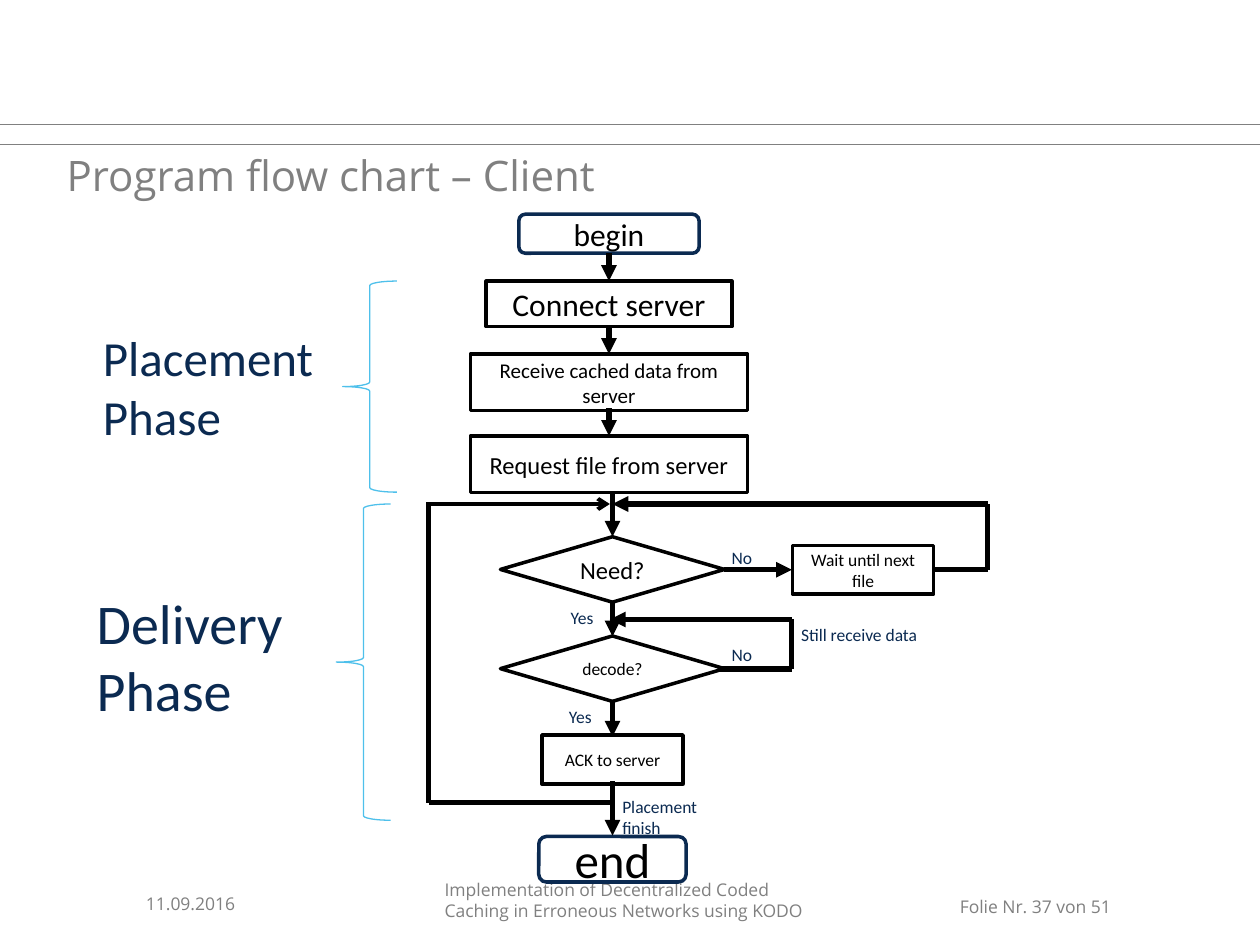
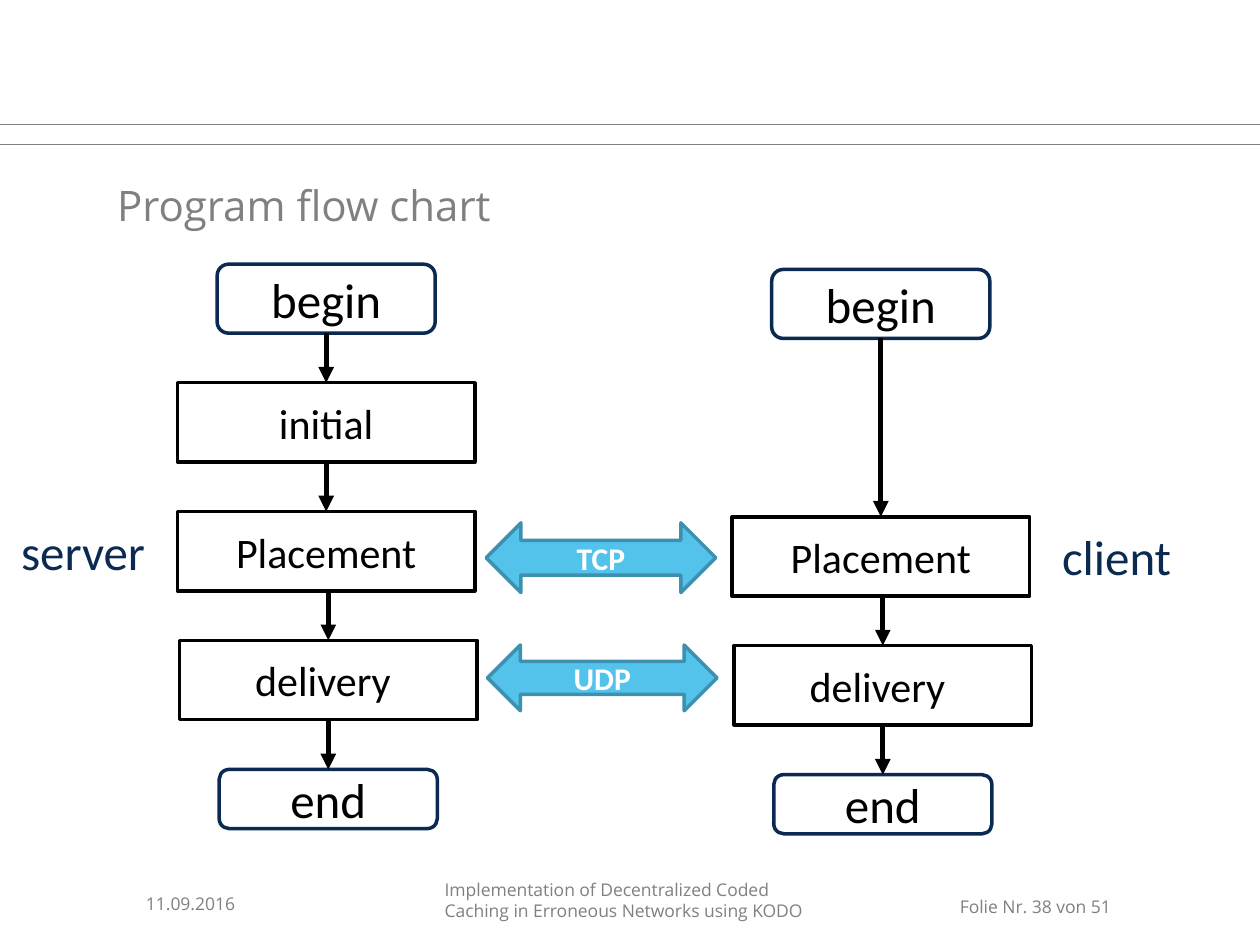
from itertools import pairwise

from lxml import etree
from pptx import Presentation
from pptx.dml.color import RGBColor
from pptx.enum.shapes import MSO_CONNECTOR, MSO_SHAPE
from pptx.enum.text import MSO_ANCHOR, PP_ALIGN
from pptx.oxml.ns import qn
from pptx.util import Pt

GREY = RGBColor(0x80, 0x80, 0x80)
NAVY = RGBColor(0x0B, 0x2A, 0x51)
BLACK = RGBColor(0, 0, 0)
WHITE = RGBColor(0xFF, 0xFF, 0xFF)
SKY = RGBColor(0x4E, 0xC0, 0xEB)
ARROW_FILL = RGBColor(0x54, 0xC3, 0xEC)
ARROW_EDGE = RGBColor(0x3E, 0x90, 0xAF)

BODY_FONT = "Calibri"
FRAME_FONT = "Open Sans"
SLIDE_W, SLIDE_H = 720, 540
RULES_Y = (71.3, 82.8)
TOTAL_SLIDES = 51

RECT = MSO_SHAPE.RECTANGLE
ROUND = MSO_SHAPE.ROUNDED_RECTANGLE
DECISION = MSO_SHAPE.FLOWCHART_DECISION


def write(frame, text, size, color, font=BODY_FONT, bold=False, align=PP_ALIGN.LEFT):
    """Fill a text frame, one paragraph per line of text."""
    frame.word_wrap = True
    for i, line in enumerate(text.split("\n")):
        paragraph = frame.add_paragraph() if i else frame.paragraphs[0]
        paragraph.alignment = align
        run = paragraph.add_run()
        run.text = line
        run.font.name, run.font.size, run.font.bold = font, Pt(size), bold
        run.font.color.rgb = color


def label(slide, text, x, y, w, h, size, color=NAVY, font=BODY_FONT,
          anchor=MSO_ANCHOR.TOP):
    """Add a plain text box."""
    frame = slide.shapes.add_textbox(Pt(x), Pt(y), Pt(w), Pt(h)).text_frame
    frame.vertical_anchor = anchor
    write(frame, text, size, color, font)


def outline(slide, kind, x, y, w, h, color, width=2, fill=None):
    """Add a preset shape with a line and an optional fill."""
    shape = slide.shapes.add_shape(kind, Pt(x), Pt(y), Pt(w), Pt(h))
    shape.shadow.inherit = False
    if fill is None:
        shape.fill.background()
    else:
        shape.fill.solid()
        shape.fill.fore_color.rgb = fill
    shape.line.color.rgb = color
    shape.line.width = Pt(width)
    return shape


def step(slide, kind, text, center, top, w, h, size):
    """Add one flow chart step, centred on a vertical axis."""
    edge = NAVY if kind == ROUND else BLACK
    shape = outline(slide, kind, center - w / 2, top, w, h, edge)
    shape.text_frame.vertical_anchor = MSO_ANCHOR.MIDDLE
    write(shape.text_frame, text, size, BLACK, align=PP_ALIGN.CENTER)
    return shape


def line(slide, start, end, head=None, width=3, color=BLACK):
    """Add a straight line, with an arrowhead at its end if one is named."""
    connector = slide.shapes.add_connector(
        MSO_CONNECTOR.STRAIGHT, *(Pt(v) for v in (*start, *end)))
    connector.line.color.rgb = color
    connector.line.width = Pt(width)
    properties = connector._element.spPr
    if head:
        etree.SubElement(properties.find(qn("a:ln")), qn("a:tailEnd"), type=head)
    etree.SubElement(properties, qn("a:effectLst"))


def route(slide, points, head=None):
    """Join points with straight lines; the last one may carry an arrowhead."""
    legs = list(pairwise(points))
    for start, end in legs[:-1]:
        line(slide, start, end)
    line(slide, *legs[-1], head)


def down(slide, x, top, bottom):
    """Add a downward arrow."""
    line(slide, (x, top), (x, bottom), "triangle")


def add_slide(prs, title, number, title_x, title_y):
    """Add a slide with its rules, title and footer."""
    slide = prs.slides.add_slide(prs.slide_layouts[6])
    for y in RULES_Y:
        line(slide, (0, y), (SLIDE_W, y), width=0.5, color=GREY)
    middle = MSO_ANCHOR.MIDDLE
    label(slide, title, title_x, title_y, 585.4, 90, 24, GREY, FRAME_FONT, middle)
    label(slide, "11.09.2016", 76.3, 501.8, 168, 28.8, 10, GREY, FRAME_FONT, middle)
    label(slide, "Implementation of Decentralized Coded Caching in Erroneous "
          "Networks using KODO", 247, 499, 238.3, 31.7, 10, GREY, FRAME_FONT)
    label(slide, f"Folie Nr. {number} von {TOTAL_SLIDES}",
          541.4, 508.3, 136, 19.4, 10, GREY, FRAME_FONT)
    return slide


def client_chart(prs):
    """Build the detailed flow chart of the client."""
    slide = add_slide(prs, "Program flow chart – Client", 37, 31, 54.7)
    setup_x, loop_x = 348, 350
    for kind, text, center, top, w, h, size in (
        (ROUND, "begin", setup_x, 122.4, 103, 22.3, 18),
        (RECT, "Connect server", setup_x, 160.6, 140.4, 26, 18),
        (RECT, "Receive cached data from server", setup_x, 202.3, 158.4, 32.4, 12),
        (RECT, "Request file from server", setup_x, 249.1, 158.4, 32.4, 14),
        (DECISION, "Need?", loop_x, 306.7, 128, 37.4, 14),
        (RECT, "Wait until next file", 493.2, 311.6, 80.6, 28, 10),
        (DECISION, "decode?", loop_x, 363.4, 128, 37.4, 10),
        (RECT, "ACK to server", loop_x, 420, 80.6, 28, 10),
        (ROUND, "end", loop_x, 478, 84.2, 26, 28),
    ):
        step(slide, kind, text, center, top, w, h, size)

    for tip in (160.6, 202.3, 249.1):
        down(slide, setup_x, tip - 15.8, tip)
    for top, tip in ((281.5, 306.7), (344.2, 363.6), (401, 421), (446.4, 477.5)):
        down(slide, loop_x, top, tip)

    line(slide, (413.5, 325.6), (452.5, 325.6), "triangle")
    route(slide, [(533.5, 325.6), (564.5, 325.6), (564.5, 288), (loop_x, 288)],
          "triangle")
    route(slide, [(411.5, 382.3), (452.4, 382.3), (452.4, 354), (348.5, 354)],
          "triangle")
    route(slide, [(loop_x, 458.6), (245, 458.6), (245, 286.8)])
    line(slide, (245, 288), (348.5, 288), "arrow", 2.25)

    for text, x, y, w in (
        ("No", 411, 308.9, 26.6), ("No", 411, 364.3, 26.6),
        ("Yes", 319, 343.4, 34.6), ("Yes", 318, 399.8, 34.6),
        ("Still receive data", 450.7, 352.8, 88),
        ("Placement finish", 348.5, 451.4, 68.4),
    ):
        label(slide, text, x, y, w, 19.4, 10)

    for text, x, y, size, brace_y, brace_h in (
        ("Placement\nPhase", 51.8, 183.6, 28, 160.6, 120.6),
        ("Delivery Phase", 48.2, 332.6, 32, 288, 180.7),
    ):
        label(slide, text, x, y, 144, 80, size)
        outline(slide, MSO_SHAPE.LEFT_BRACE, x + 144, brace_y, 31, brace_h, SKY, 0.75)


def flow_column(slide, center, steps):
    """Stack steps and join each to the next; steps are (text, top)."""
    previous_bottom = None
    for text, top in steps:
        terminal = text in ("begin", "end")
        kind, w, size = (ROUND, 124.6, 28) if terminal else (RECT, 170, 24)
        h = {"begin": 39.4, "end": 33.8}.get(text, 45.4)
        x = center + (1.2 if text in ("delivery", "end") else 0)
        shape = step(slide, kind, text, x, top, w, h, size)
        if text == "delivery":
            shape.text_frame.margin_right = Pt(13.2)
        if previous_bottom is not None:
            down(slide, x, previous_bottom, top)
        previous_bottom = top + h


def overview_chart(prs):
    """Build the overview of server and client side by side."""
    slide = add_slide(prs, "Program flow chart", 38, 59.8, 72)
    tops = {"begin": 151, "initial": 218.7, "Placement": 292.3,
            "delivery": 365.9, "end": 439.7}
    client_drop = 3
    flow_column(slide, 186.4, tops.items())
    flow_column(slide, 503.3, [(text, top + client_drop)
                               for text, top in tops.items() if text != "initial"])
    label(slide, "server", 5, 294.5, 89.3, 41, 28)
    label(slide, "client", 599.8, 294.5 + client_drop, 89.3, 41, 28)

    for text, x, y, h in (("TCP", 277.8, 298.8, 39.8), ("UDP", 278.6, 368.6, 37.6)):
        arrow = outline(slide, MSO_SHAPE.LEFT_RIGHT_ARROW, x, y, 131.2, h,
                        ARROW_EDGE, fill=ARROW_FILL)
        arrow.text_frame.vertical_anchor = MSO_ANCHOR.MIDDLE
        write(arrow.text_frame, text, 18, WHITE, bold=True, align=PP_ALIGN.CENTER)


def main():
    """Build both slides and save them."""
    prs = Presentation()
    prs.slide_width, prs.slide_height = Pt(SLIDE_W), Pt(SLIDE_H)
    client_chart(prs)
    overview_chart(prs)
    prs.save("out.pptx")


main()
